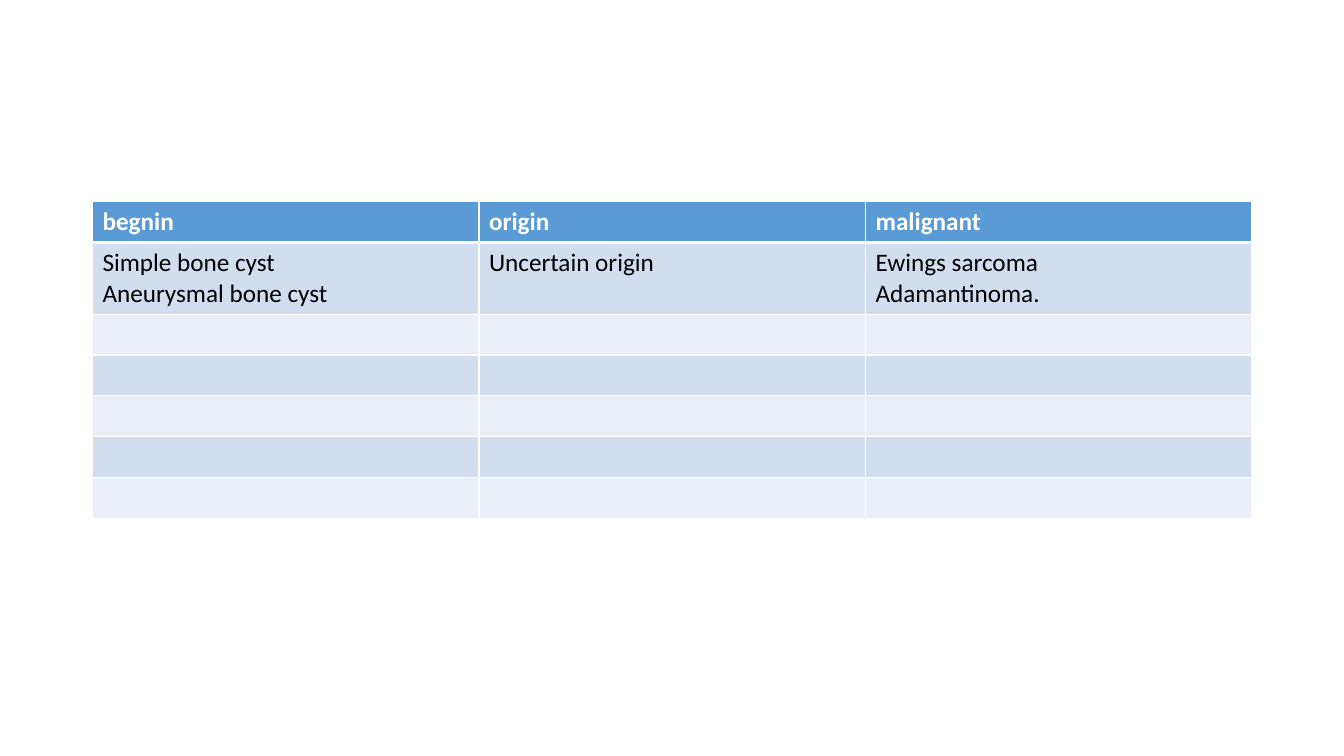
import pptx
import pptx.dml.color
import pptx.oxml
import pptx.oxml.ns
import pptx.util

COLOURS = {
    "white": "FFFFFF",
    "black": "000000",
    "header": "5B9BD5",
    "band_dark": "D2DEEF",
    "band_light": "EAEFF7",
}
TUMOURS = [
    ["begnin", "origin", "malignant"],
    ["Simple bone cyst\nAneurysmal bone cyst", "Uncertain origin", "Ewings sarcoma\nAdamantinoma."],
]
ROW_COUNT = 7


class TumourSlide:
    """Hold the text style and the current slide, and add elements to it."""

    def __init__(self, slide, font_name="Calibri", font_size=18):
        self.slide = slide
        self.font_name = font_name
        self.font_size = pptx.util.Pt(font_size)

    def colour(self, name):
        return pptx.dml.color.RGBColor.from_string(COLOURS[name])

    def add_borders(self, cell, widths):
        properties = cell._tc.get_or_add_tcPr()
        for side, points in widths.items():
            properties.append(pptx.oxml.parse_xml(
                f'<a:ln{side} {pptx.oxml.ns.nsdecls("a")} w="{pptx.util.Pt(points)}">'
                f'<a:solidFill><a:srgbClr val="{COLOURS["white"]}"/></a:solidFill></a:ln{side}>'
            ))

    def format_cell(self, cell, text, fill, ink, bold):
        cell.fill.solid()
        cell.fill.fore_color.rgb = self.colour(fill)
        cell.text_frame.text = text
        for paragraph in cell.text_frame.paragraphs:
            paragraph.font.size = self.font_size
            for run in paragraph.runs:
                run.font.name = self.font_name
                run.font.size = self.font_size
                run.font.bold = bold
                run.font.color.rgb = self.colour(ink)

    def add_table(self, content, row_count, left, top, column_width, row_height):
        column_count = len(content[0])
        table = self.slide.shapes.add_table(
            row_count, column_count, left, top,
            column_width * column_count, row_height * row_count,
        ).table
        for row_index, row in enumerate(table.rows):
            is_header = row_index == 0
            band = "band_dark" if row_index % 2 else "band_light"
            texts = content[row_index] if row_index < len(content) else [""] * column_count
            widths = {"L": 1, "R": 1, "T": 3 if row_index == 1 else 1, "B": 3 if is_header else 1}
            for cell, text in zip(row.cells, texts):
                self.add_borders(cell, widths)
                self.format_cell(
                    cell, text, "header" if is_header else band,
                    "white" if is_header else "black", is_header,
                )


def main():
    presentation = pptx.Presentation()
    presentation.slide_width = pptx.util.Cm(33.87)
    presentation.slide_height = pptx.util.Cm(19.05)
    blank_layout = presentation.slide_layouts[6]
    tumour_slide = TumourSlide(presentation.slides.add_slide(blank_layout))
    tumour_slide.add_table(
        TUMOURS, ROW_COUNT,
        left=pptx.util.Cm(2.33), top=pptx.util.Cm(5.08),
        column_width=pptx.util.Cm(9.74), row_height=pptx.util.Cm(1.03),
    )
    presentation.save("out.pptx")


if __name__ == "__main__":
    main()
